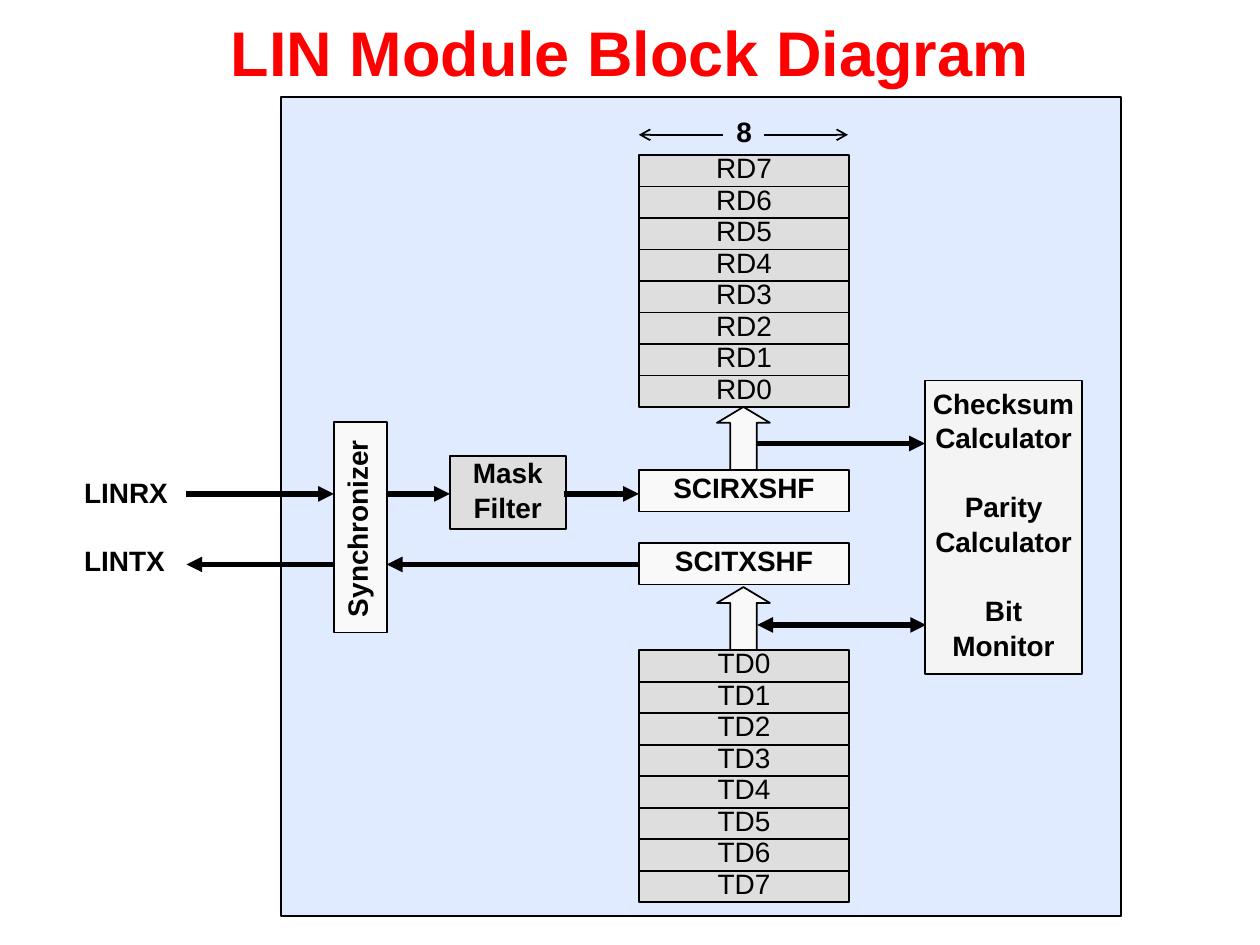
from pptx import Presentation, util as u
from pptx.dml.color import RGBColor
from pptx.enum import shapes, text
from pptx.oxml.ns import qn
from lxml import etree

COLORS = {"ink": "000000", "title": "FF0000", "module": "E0EBFF",
          "buffer": "DEDEDE", "register": "F9F9F9", "checker": "F4F4F4"}
BODY = {"name": "Arial", "size": u.Pt(16), "bold": True}
PLAIN = {**BODY, "bold": False}
HEADING = {**BODY, "size": u.Pt(36)}
CENTER, LEFT = text.PP_ALIGN.CENTER, text.PP_ALIGN.LEFT


def color(name):
    """Return the named colour."""
    return RGBColor.from_string(COLORS[name])


def inches(*values):
    """Turn numbers into lengths."""
    return [u.Inches(value) for value in values]


class Diagram:
    """Draws the elements of a block diagram on one slide."""

    def __init__(self, slide):
        """Keep the slide to draw on."""
        self.slide = slide

    def set_text(self, shape, lines, style=BODY, ink="ink", align=CENTER,
                 spacing=0.8, gap=4.6, wrap=False):
        """Fill a shape with lines, each a string or a (string, space before) pair."""
        frame = shape.text_frame
        frame.auto_size = text.MSO_AUTO_SIZE.NONE
        frame.word_wrap = wrap
        frame.vertical_anchor = text.MSO_ANCHOR.MIDDLE
        for index, line in enumerate(lines):
            words, before = line if isinstance(line, tuple) else (line, gap)
            paragraph = frame.add_paragraph() if index else frame.paragraphs[0]
            paragraph.alignment = align
            paragraph.line_spacing = spacing
            paragraph.space_before = u.Pt(before if index else 0)
            run = paragraph.add_run()
            run.text = words
            for key, value in style.items():
                setattr(run.font, key, value)
            run.font.color.rgb = color(ink)

    def title(self, words, box):
        """Place and format the title placeholder."""
        title = self.slide.shapes.title
        for key, value in zip(("left", "top", "width", "height"), inches(*box)):
            setattr(title, key, value)
        self.set_text(title, [words], HEADING, "title", spacing=1.0, wrap=True)

    def block(self, box, fill, lines=(), style=BODY,
              kind=shapes.MSO_SHAPE.RECTANGLE):
        """Add an outlined block with optional text."""
        shape = self.slide.shapes.add_shape(kind, *inches(*box))
        shape.shadow.inherit = False
        shape.fill.solid()
        shape.fill.fore_color.rgb = color(fill)
        shape.line.color.rgb = color("ink")
        shape.line.width = u.Pt(1)
        self.set_text(shape, lines, style)
        return shape

    def up_arrow(self, top):
        """Add a block arrow between a shift register and its buffers."""
        arrow = self.block((5.69, top, 0.42, 0.5), "register",
                           kind=shapes.MSO_SHAPE.UP_ARROW)
        arrow.adjustments[0], arrow.adjustments[1] = 0.5, 0.3

    def buffers(self, top, names):
        """Stack the byte buffers downwards."""
        for row, name in enumerate(names):
            self.block((5.07, top + 0.25 * row, 1.67, 0.25), "buffer", [name], PLAIN)

    def label(self, box, words, rotation=0, align=LEFT):
        """Add a free label."""
        shape = self.slide.shapes.add_textbox(*inches(*box))
        shape.rotation = rotation
        self.set_text(shape, [words], align=align)

    def line(self, start, end, width=3, **ends):
        """Add a straight line; ends may give headEnd and tailEnd types."""
        line = self.slide.shapes.add_connector(
            shapes.MSO_CONNECTOR.STRAIGHT, *inches(*start, *end))
        line.line.color.rgb = color("ink")
        line.line.width = u.Pt(width)
        properties = line._element.spPr
        outline = properties.find(qn("a:ln"))
        for tag in ("headEnd", "tailEnd"):
            if tag in ends:
                etree.SubElement(outline, qn("a:" + tag), type=ends[tag])
        etree.SubElement(properties, qn("a:effectLst"))


def build():
    """Build and save the slide."""
    presentation = Presentation()
    presentation.slide_width, presentation.slide_height = inches(10, 7.5)
    diagram = Diagram(presentation.slides.add_slide(presentation.slide_layouts[5]))
    diagram.title("LIN Module Block Diagram", (0, 0, 10, 0.81))
    diagram.block((2.23, 0.77, 6.67, 6.5), "module")

    diagram.block((5.07, 3.73, 1.67, 0.33), "register", ["SCIRXSHF"])
    diagram.block((5.07, 4.31, 1.67, 0.33), "register", ["SCITXSHF"])
    diagram.buffers(5.16, [f"TD{number}" for number in range(8)])
    diagram.up_arrow(4.66)
    diagram.block((3.57, 3.62, 0.92, 0.58), "buffer", ["Mask", "Filter"])
    diagram.block((2.65, 3.35, 0.42, 1.67), "register")
    diagram.label((2.05, 4.04, 1.61, 0.31), "Synchronizer", 270, CENTER)
    diagram.block((7.34, 3.02, 1.25, 2.33), "checker",
                  ["Checksum", "Calculator", ("Parity", 24), "Calculator",
                   ("Bit", 24), "Monitor"])

    receive, transmit = 3.92, 4.48
    for start, end in ((1.48, 2.65), (3.07, 3.57), (4.48, 5.07)):
        diagram.line((start, receive), (end, receive), tailEnd="triangle")
    for start, end in ((5.07, 3.07), (2.65, 1.48)):
        diagram.line((start, transmit), (end, transmit), tailEnd="triangle")
    diagram.label((0.57, 3.77, 0.87, 0.32), "LINRX")
    diagram.label((0.57, 4.31, 0.85, 0.32), "LINTX")
    diagram.line((6, 3.52), (7.34, 3.52), tailEnd="triangle")
    diagram.line((6.01, 4.96), (7.35, 4.96), headEnd="triangle", tailEnd="triangle")

    diagram.up_arrow(3.23)
    diagram.buffers(1.23, [f"RD{number}" for number in reversed(range(8))])
    diagram.label((5.74, 0.91, 0.33, 0.32), "8", align=CENTER)
    for start, end in ((5.74, 5.07), (6.06, 6.73)):
        diagram.line((start, 1.07), (end, 1.07), 1, tailEnd="arrow")
    presentation.save("out.pptx")


build()
